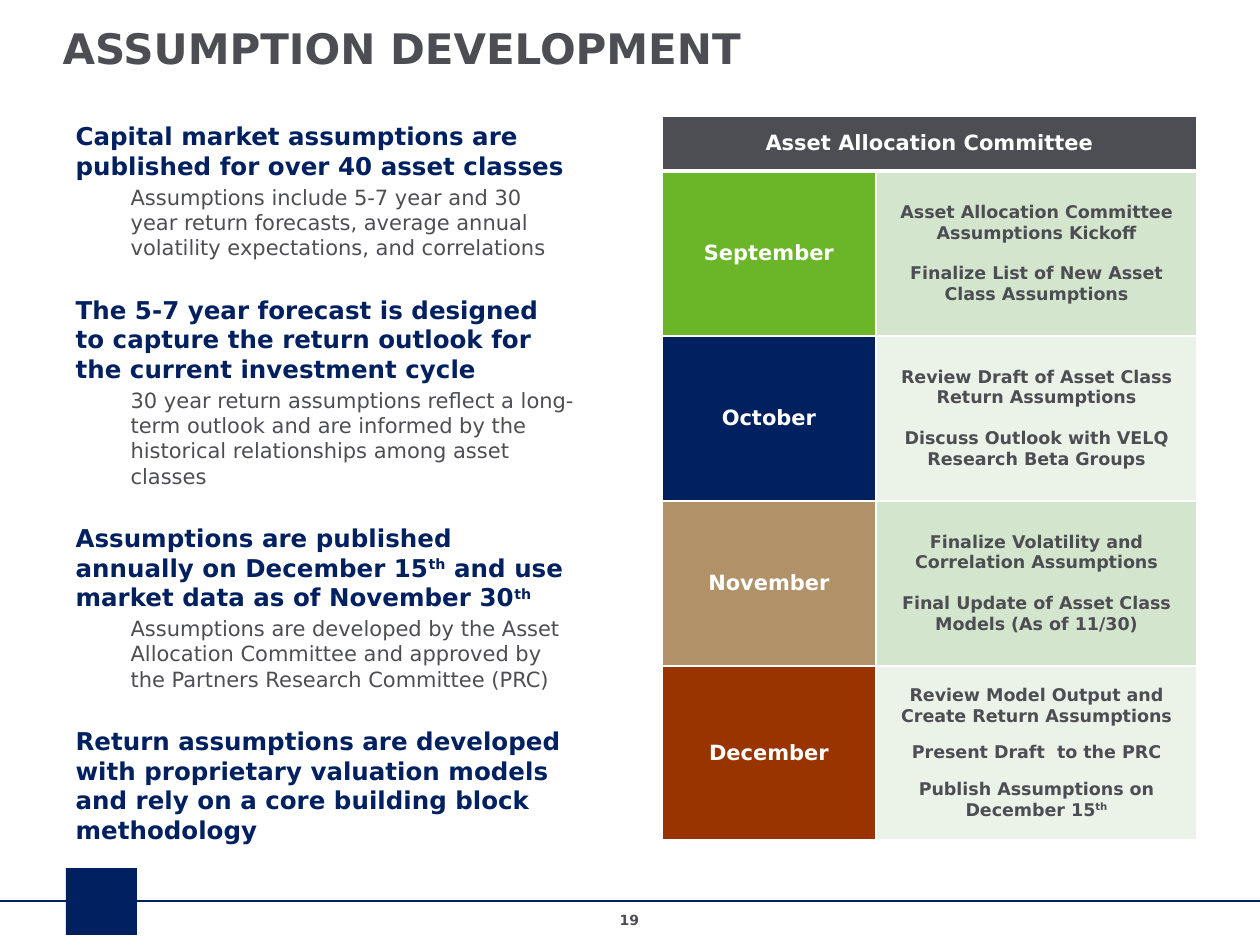
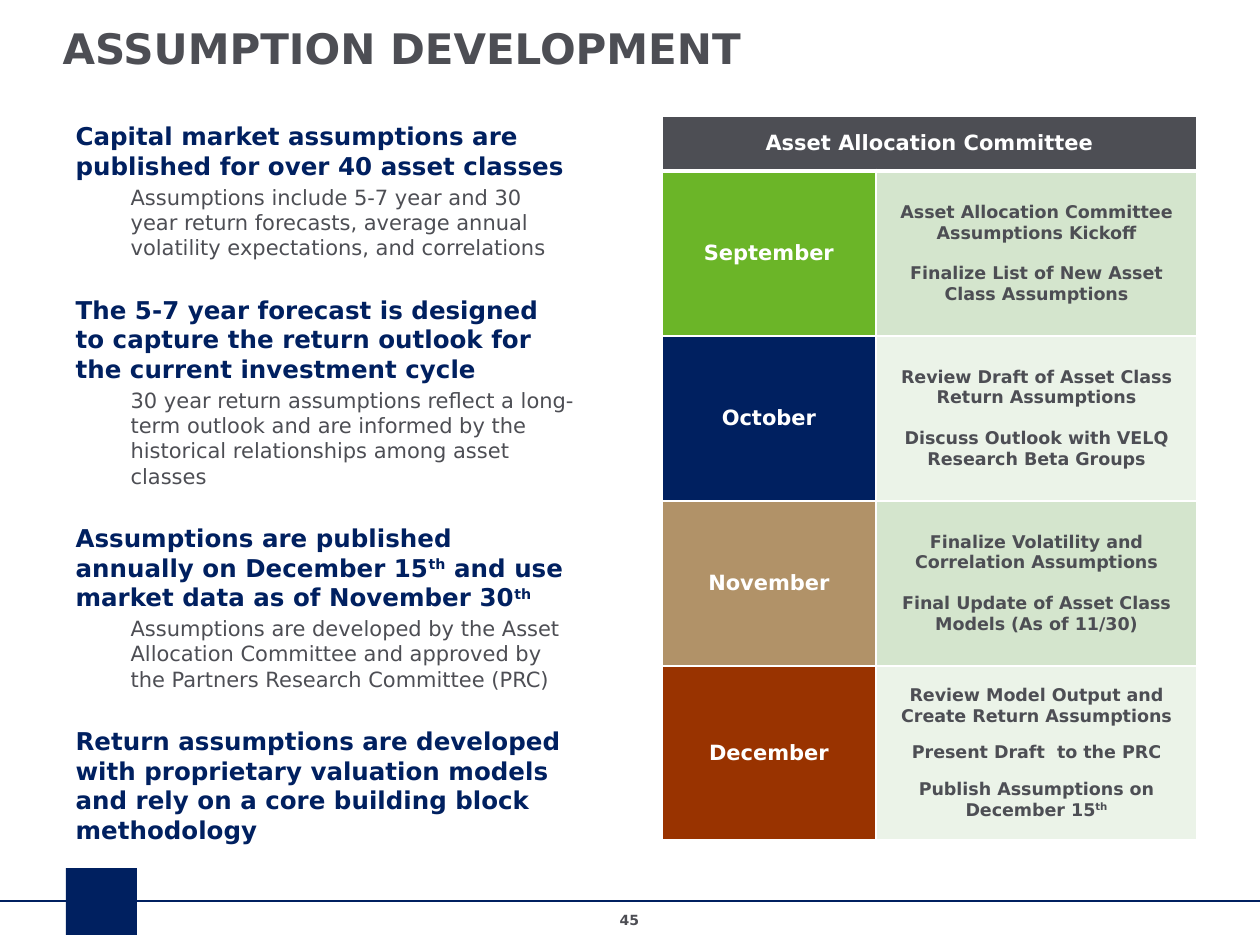
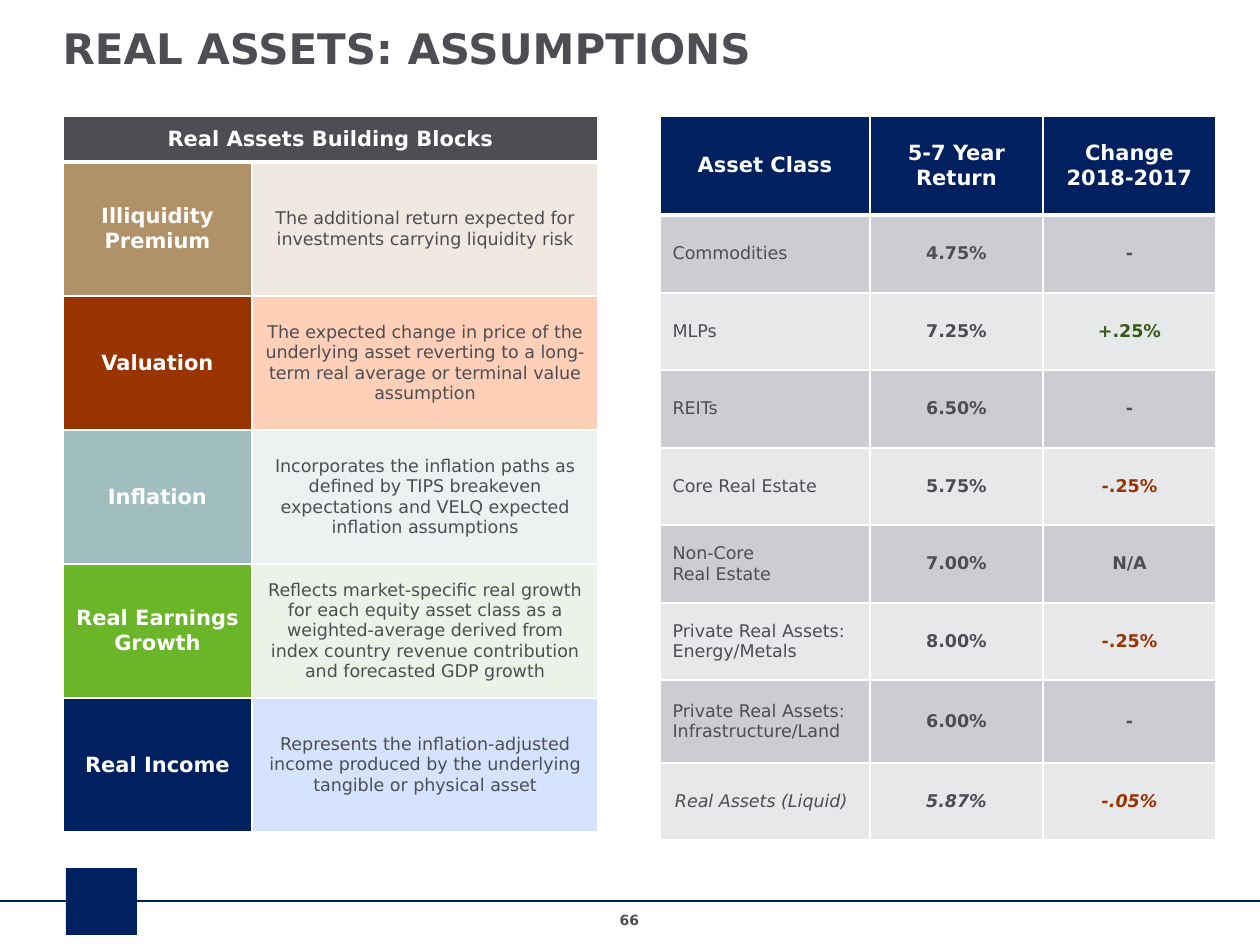
"""Build three slides on asset class assumptions."""
from lxml.etree import SubElement as Sub
from pptx import Presentation
from pptx.dml.color import RGBColor
from pptx.enum.shapes import MSO_CONNECTOR as Link, MSO_SHAPE as Form
from pptx.enum.text import MSO_ANCHOR as Anchor, MSO_AUTO_SIZE as Fit, PP_ALIGN as Align
from pptx.oxml.ns import qn
from pptx.util import Emu, Pt

hue = RGBColor.from_string
PX = 914400 / 126
NAVY, GRAY, WHITE = "002060", "4D4E54", "FFFFFF"
GREEN, TAN, RUST, TEAL = "6BB528", "B19268", "993300", "A0BDC0"
MINT, PALE = "D4E5CD", "EBF3E8"

MID = dict(alignment=Align.CENTER)
LEFT = dict(alignment=Align.LEFT)
HEAD = dict(tone=WHITE, para=MID, size=12, bold=True)
NOTE = dict(tone=GRAY, para=MID, size=10, bold=False)
TASK = dict(NOTE, bold=True, gap=11.7)
NAME = dict(NOTE, para=LEFT)
RATE = dict(NOTE, bold=True)


def write(frame, lines):
    """Fill a frame with (text, style) lines; text between carets is raised."""
    for i, (text, style) in enumerate(lines):
        par = frame.paragraphs[0] if i == 0 else frame.add_paragraph()
        props = par._p.get_or_add_pPr()
        props.set("marL", str(int(style.get("left", 0) * PX)))
        props.set("indent", "0")
        Sub(props, qn("a:buNone"))
        par.space_before = Pt(style.get("gap", 0) if i else 0)
        for key, val in style["para"].items():
            setattr(par, key, val)
        face = dict(name="DejaVu Sans", size=Pt(style["size"]),
                    bold=style["bold"], italic=style.get("italic", False))
        for j, part in enumerate(text.split("^")):
            if part:
                run = par.add_run()
                run.text = part
                for key, val in face.items():
                    setattr(run.font, key, val)
                run.font.color.rgb = hue(style["tone"])
                if j % 2:
                    run._r.get_or_add_rPr().set("baseline", "30000")


def grid(slide, left, cols, tall, cells):
    """Add a table of (text, fill, style) cells; a lone cell spans its row."""
    box = (left, 116, sum(cols), sum(tall))
    table = slide.shapes.add_table(len(tall), len(cols), *[Emu(int(n * PX)) for n in box]).table
    table.horz_banding = False
    for col, wide in zip(table.columns, cols):
        col.width = Emu(int(wide * PX))
    for r, row in enumerate(cells):
        table.rows[r].height = Emu(int(tall[r] * PX))
        if len(row) == 1:
            table.cell(r, 0).merge(table.cell(r, len(cols) - 1))
        for c, (text, fill, style) in enumerate(row):
            cell = table.cell(r, c)
            props = cell._tc.get_or_add_tcPr()
            for side in "LRTB":
                wide = 3 if (r, side) in [(0, "B"), (1, "T")] else 1
                edge = Sub(props, qn("a:ln" + side), w=str(Pt(wide)))
                Sub(Sub(edge, qn("a:solidFill")), qn("a:srgbClr"), val=WHITE)
            cell.fill.solid()
            cell.fill.fore_color.rgb = hue(fill)
            cell.vertical_anchor = Anchor.MIDDLE
            cell.margin_left = cell.margin_right = Emu(int(style.get("pad", 12.6) * PX))
            write(cell.text_frame, [(line, style) for line in text.split("\n")])


deck = Presentation()
deck.slide_width, deck.slide_height = Emu(int(1260 * PX)), Emu(int(945 * PX))

pages = []
for title, num, kind in [("ASSUMPTION DEVELOPMENT", "19", 1),
                         ("ASSUMPTION DEVELOPMENT", "45", 1),
                         ("REAL ASSETS: ASSUMPTIONS", "66", 5)]:
    slide = deck.slides.add_slide(deck.slide_layouts[kind])
    pages.append(slide)
    shapes = slide.shapes
    rule = shapes.add_connector(Link.STRAIGHT, 0, Emu(int(901 * PX)),
                                deck.slide_width, Emu(int(901 * PX)))
    rule.line.color.rgb = hue(NAVY)
    rule.line.width = Pt(1.5)
    Sub(rule._element.spPr, qn("a:effectLst"))
    block = shapes.add_shape(Form.RECTANGLE, *[Emu(int(n * PX)) for n in (66, 868, 71, 67)])
    block.shadow.inherit = False
    block.fill.solid()
    block.fill.fore_color.rgb = hue(NAVY)
    block.line.fill.background()
    foot = shapes.add_textbox(*[Emu(int(n * PX)) for n in (483, 905, 293, 30)])
    foot.text_frame.word_wrap = True
    write(foot.text_frame, [(num, dict(tone=GRAY, para=MID, size=8, bold=True))])
    head = shapes.title
    spot = dict(left=50, top=16, width=1134, height=58)
    for key, val in spot.items():
        setattr(head, key, Emu(int(val * PX)))
    head.text_frame.auto_size = Fit.NONE
    head.text_frame.vertical_anchor = Anchor.TOP
    write(head.text_frame, [(title, dict(tone=GRAY, para=LEFT, size=24, bold=True))])

MAIN = dict(tone=NAVY, para=LEFT, size=14, bold=True, gap=20)
MORE = dict(tone=GRAY, para=dict(LEFT, level=1), size=12, bold=False, gap=2.4, left=55)
points = [
    ("Capital market assumptions are published for over 40 asset classes", MAIN),
    ("Assumptions include 5-7 year and 30 year return forecasts, average annual "
     "volatility expectations, and correlations", MORE),
    ("The 5-7 year forecast is designed to capture the return outlook for the "
     "current investment cycle", MAIN),
    ("30 year return assumptions reflect a long-term outlook and are informed by the "
     "historical relationships among asset classes", MORE),
    ("Assumptions are published annually on December 15^th^ and use market data as of "
     "November 30^th^", MAIN),
    ("Assumptions are developed by the Asset Allocation Committee and approved by the "
     "Partners Research Committee (PRC)", MORE),
    ("Return assumptions are developed with proprietary valuation models and rely on a "
     "core building block methodology", MAIN),
]
months = [
    [("Asset Allocation Committee", GRAY, HEAD)],
    [("September", GREEN, HEAD),
     ("Asset Allocation Committee Assumptions Kickoff\n"
      "Finalize List of New Asset Class Assumptions", MINT, TASK)],
    [("October", NAVY, HEAD),
     ("Review Draft of Asset Class Return Assumptions\n"
      "Discuss Outlook with VELQ Research Beta Groups", PALE, TASK)],
    [("November", TAN, HEAD),
     ("Finalize Volatility and Correlation Assumptions\n"
      "Final Update of Asset Class Models (As of 11/30)", MINT, TASK)],
    [("December", RUST, HEAD),
     ("Review Model Output and Create Return Assumptions\nPresent Draft  to the PRC\n"
      "Publish Assumptions on December 15^th^", PALE, dict(TASK, gap=9.4))],
]
for slide in pages[:2]:
    body = slide.placeholders[1]
    spot = dict(left=63, top=115, width=525, height=462)
    for key, val in spot.items():
        setattr(body, key, Emu(int(val * PX)))
    body.text_frame.auto_size = Fit.NONE
    write(body.text_frame, points)
    grid(slide, 662, [214, 321], [55] + [165] * 3 + [174], months)

parts = [
    ("Illiquidity Premium", TAN, "EFE9E1",
     "The additional return expected for investments carrying liquidity risk"),
    ("Valuation", RUST, "FFCFB8",
     "The expected change in price of the underlying asset reverting to a long-term real "
     "average or terminal value assumption"),
    ("Inflation", TEAL, "ECF2F2",
     "Incorporates the inflation paths as defined by TIPS breakeven expectations and VELQ "
     "expected inflation assumptions"),
    ("Real Earnings Growth", GREEN, PALE,
     "Reflects market-specific real growth for each equity asset class as a "
     "weighted-average derived from index country revenue contribution and forecasted "
     "GDP growth"),
    ("Real Income", NAVY, "D6E3FF",
     "Represents the inflation-adjusted income produced by the underlying tangible or "
     "physical asset"),
]
blocks = [[("Real Assets Building Blocks", GRAY, HEAD)]]
for name, dark, light, text in parts:
    blocks.append([(name, dark, HEAD), (text, light, NOTE)])
grid(pages[2], 63, [189, 346], [46] + [134] * 5, blocks)

rates = [
    ("Commodities", "4.75%", "-"),
    ("MLPs", "7.25%", "+.25%"),
    ("REITs", "6.50%", "-"),
    ("Core Real Estate", "5.75%", "-.25%"),
    ("Non-Core\nReal Estate", "7.00%", "N/A"),
    ("Private Real Assets: Energy/Metals", "8.00%", "-.25%"),
    ("Private Real Assets: Infrastructure/Land", "6.00%", "-"),
    ("Real Assets (Liquid)", "5.87%", "-.05%"),
]
heads = ("Asset Class", "5-7 Year Return", "Change\n2018-2017")
cells = [[(text, NAVY, HEAD) for text in heads]]
for i, (name, rate, move) in enumerate(rates):
    fill = "E7E8EA" if i % 2 else "CCCDD2"
    tone = "355A14" if move[0] == "+" else RUST if move[:2] == "-." else GRAY
    last = dict(italic=True, pad=15) if i == len(rates) - 1 else {}
    cells.append([(name, fill, dict(NAME, **last)), (rate, fill, dict(RATE, **last)),
                  (move, fill, dict(RATE, **dict(last, tone=tone)))])
grid(pages[2], 660, [210, 173, 173], [99] + [78, 77] * 3 + [83, 77], cells)

deck.save("out.pptx")
